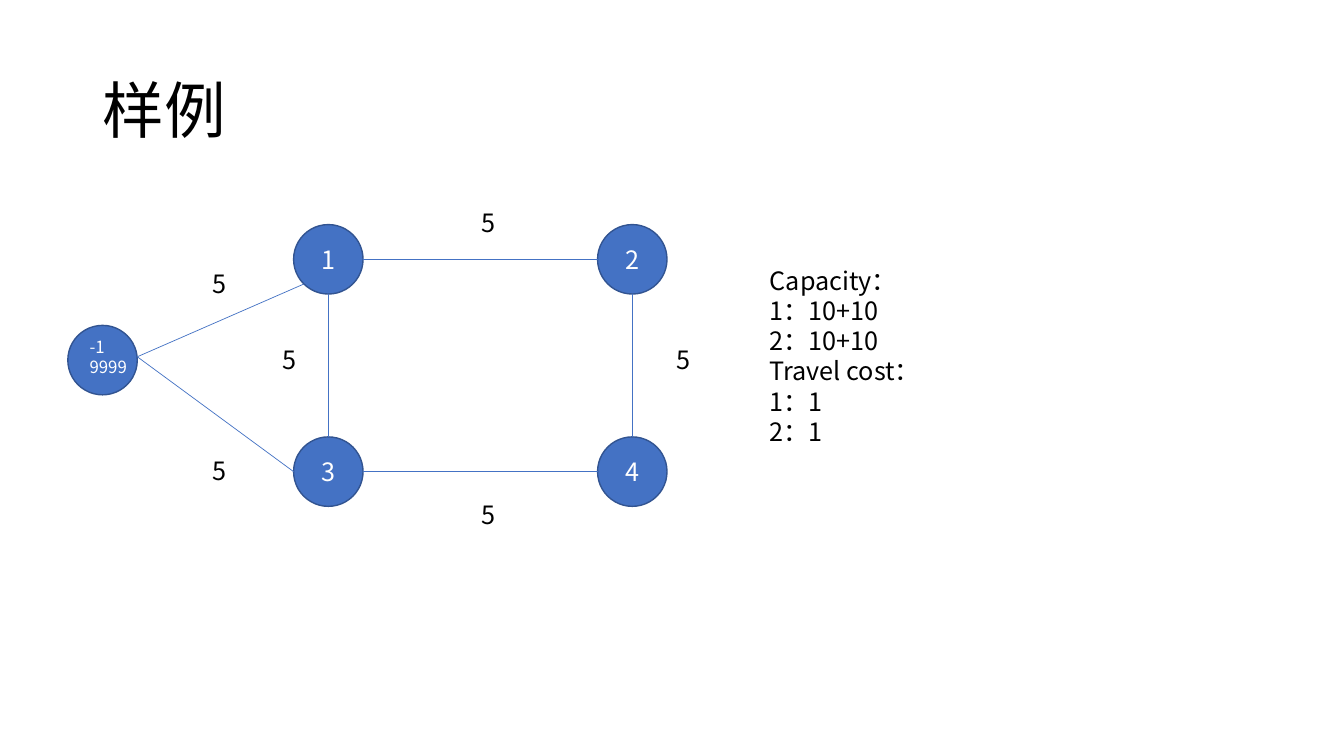
from dataclasses import dataclass

from pptx import Presentation
from pptx.dml.color import RGBColor
from pptx.enum.shapes import MSO_CONNECTOR as Link, MSO_SHAPE as Form
from pptx.enum.text import MSO_ANCHOR as Anchor, PP_ALIGN as Align
from pptx.oxml.ns import qn
from pptx.shapes.shapetree import _BaseGroupShapes as Shapes
from pptx.text.text import TextFrame, _Paragraph as Para
from pptx.util import Cm, Pt
from lxml.etree import SubElement

FONT = "Noto Sans CJK SC"
BLUE = RGBColor(0x44, 0x72, 0xC4)
NAVY = RGBColor(0x32, 0x54, 0x91)
BLACK = RGBColor(0, 0, 0)
WHITE = RGBColor(255, 255, 255)
SIZE = 1.75
LEFT, RIGHT = 7.4, 15.06
TOP, LOW = 5.66, 11.01


@dataclass
class Node:
    text: str
    x: float
    y: float


@dataclass
class Edge:
    x1: float
    y1: float
    x2: float
    y2: float


@dataclass
class Label:
    lines: list[str]
    x: float
    y: float
    w: float = 0.81
    h: float = 1.02
    size: int = 18
    color: RGBColor = BLACK
    wrap: bool = False


MID = SIZE / 2
NODES = [
    Node("1", LEFT, TOP),
    Node("2", RIGHT, TOP),
    Node("3", LEFT, LOW),
    Node("4", RIGHT, LOW),
]
DEPOT = Node("", 1.71, 8.2)
HUB = (3.46, 8.99)
EDGES = [
    Edge(LEFT + SIZE, TOP + MID, RIGHT, TOP + MID),
    Edge(LEFT + SIZE, LOW + MID, RIGHT, LOW + MID),
    Edge(LEFT + MID, TOP + SIZE, LEFT + MID, LOW),
    Edge(RIGHT + MID, TOP + SIZE, RIGHT + MID, LOW),
    Edge(*HUB, 7.65, 7.16),
    Edge(*HUB, LEFT, LOW + MID),
]
COSTS = [
    (11.89, 5.11),
    (11.89, 12.45),
    (16.79, 8.56),
    (6.88, 8.56),
    (5.11, 6.63),
    (5.11, 11.35),
]
STOCK = Label(["-1", "9999"], 2.01, 8.36, 1.45, 1.27, 12, WHITE)
NOTES = Label(
    ["Capacity：", "1：10+10", "2：10+10", "Travel cost：", "1：1\v2：1"],
    19.15, 6.55, 10.19, 4.88, wrap=True,
)


def write(para: Para, text: str, size: int, color: RGBColor) -> None:
    for i, part in enumerate(text.split("\v")):
        if i:
            para.add_line_break()
        run = para.add_run()
        run.text = part
        font = run.font
        font.name = FONT
        font.size = Pt(size)
        font.color.rgb = color
        SubElement(font._element, qn("a:ea"), typeface=FONT)


def fill(frame: TextFrame, lines: list[str], size: int, color: RGBColor) -> None:
    for i, line in enumerate(lines):
        para = frame.add_paragraph() if i else frame.paragraphs[0]
        write(para, line, size, color)


def draw_node(shapes: Shapes, node: Node) -> None:
    disc = shapes.add_shape(Form.OVAL, Cm(node.x), Cm(node.y), Cm(SIZE), Cm(SIZE))
    disc.shadow.inherit = False
    disc.fill.solid()
    disc.fill.fore_color.rgb = BLUE
    disc.line.color.rgb = NAVY
    disc.line.width = Pt(1)
    if node.text:
        frame = disc.text_frame
        frame.vertical_anchor = Anchor.MIDDLE
        frame.paragraphs[0].alignment = Align.CENTER
        fill(frame, [node.text], 18, WHITE)


def draw_edge(shapes: Shapes, edge: Edge) -> None:
    line = shapes.add_connector(
        Link.STRAIGHT, Cm(edge.x1), Cm(edge.y1), Cm(edge.x2), Cm(edge.y2)
    )
    line.line.color.rgb = BLUE
    line.line.width = Pt(0.5)
    SubElement(line._element.spPr, qn("a:effectLst"))


def draw_label(shapes: Shapes, label: Label) -> None:
    box = shapes.add_textbox(Cm(label.x), Cm(label.y), Cm(label.w), Cm(label.h))
    box.text_frame.word_wrap = label.wrap
    fill(box.text_frame, label.lines, label.size, label.color)


def main() -> None:
    deck = Presentation()
    deck.slide_width, deck.slide_height = Cm(33.87), Cm(19.05)
    slide = deck.slides.add_slide(deck.slide_layouts[5])
    shapes = slide.shapes

    title = shapes.title
    title.left, title.top = Cm(2.33), Cm(1.01)
    title.width, title.height = Cm(29.21), Cm(3.68)
    title.text_frame.vertical_anchor = Anchor.MIDDLE
    head = title.text_frame.paragraphs[0]
    head.alignment = Align.LEFT
    head.line_spacing = 0.9
    write(head, "样例", 44, BLACK)

    for node in NODES:
        draw_node(shapes, node)
    group = shapes.add_group_shape()
    draw_node(group.shapes, DEPOT)
    draw_label(group.shapes, STOCK)
    for edge in EDGES:
        draw_edge(shapes, edge)
    for x, y in COSTS:
        draw_label(shapes, Label(["5"], x, y))
    draw_label(shapes, NOTES)
    deck.save("out.pptx")


if __name__ == "__main__":
    main()
